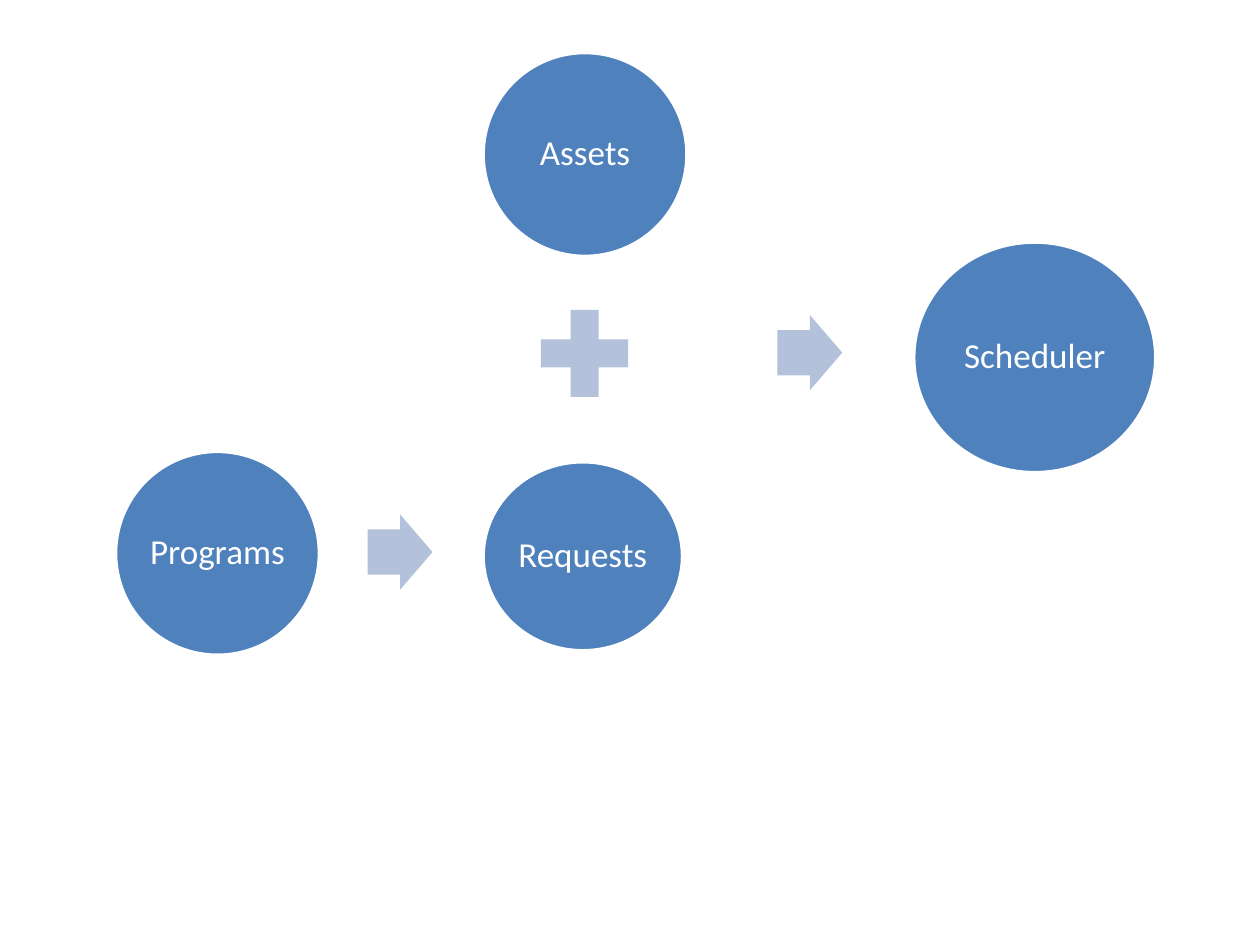
from collections import namedtuple
from dataclasses import dataclass

from pptx import Presentation
from pptx.dml.color import RGBColor
from pptx.enum.shapes import MSO_SHAPE as Preset
from pptx.enum.text import MSO_ANCHOR as Anchor, PP_ALIGN as Align
from pptx.util import Cm, Pt

Box = namedtuple("Box", "left top width height")


@dataclass(frozen=True)
class Theme:
    circle: RGBColor = RGBColor(0x4F, 0x81, 0xBD)
    operator: RGBColor = RGBColor(0xB3, 0xC1, 0xDB)
    light: RGBColor = RGBColor(0xFF, 0xFF, 0xFF)
    font: str = "Calibri"
    label_size: Pt = Pt(20)
    outline: Pt = Pt(2)
    inset: Cm = Cm(0.07)


THEME = Theme()


def add_preset(slide, preset, box, fill):
    shape = slide.shapes.add_shape(preset, *(Cm(length) for length in box))
    shape.shadow.inherit = False
    shape.fill.solid()
    shape.fill.fore_color.rgb = fill
    return shape


def add_circle(slide, label, box):
    circle = add_preset(slide, Preset.OVAL, box, THEME.circle)
    circle.line.color.rgb = THEME.light
    circle.line.width = THEME.outline

    # Centred label
    frame = circle.text_frame
    frame.text = label
    frame.word_wrap = True
    frame.vertical_anchor = Anchor.MIDDLE
    frame.margin_left = frame.margin_right = THEME.inset
    frame.margin_top = frame.margin_bottom = THEME.inset
    paragraph = frame.paragraphs[0]
    paragraph.alignment = Align.CENTER
    paragraph.line_spacing = 0.9
    font = paragraph.runs[0].font
    font.name = THEME.font
    font.size = THEME.label_size
    font.color.rgb = THEME.light


def add_operator(slide, preset, box):
    operator = add_preset(slide, preset, box, THEME.operator)
    operator.line.fill.background()
    return operator


def add_scheduling_flow(slide, area):
    def within(left, top, width, height):
        return Box(area.left + left, area.top + top, width, height)

    # Arrows: Programs to Requests, then both inputs to Scheduler
    for left, top in ((5.08, 9.31), (13.34, 5.29)):
        arrow = add_operator(slide, Preset.RIGHT_ARROW,
                             within(left, top, 1.31, 1.52))
        arrow.adjustments[0] = 0.6
        arrow.adjustments[1] = 0.5

    # Plus between Assets and Requests
    add_operator(slide, Preset.MATH_PLUS, within(8.26, 4.87, 2.39, 2.39))

    # Labelled circles
    input_left, diameter = 7.41, 4.11
    circles = {
        "Programs": (0, 8.04, diameter, diameter),
        "Assets": (input_left, 0, diameter, diameter),
        "Requests": (input_left, 8.25, 4.02, 3.81),
        "Scheduler": (area.width - 4.88, 3.82, 4.88, 4.65),
    }
    for label, place in circles.items():
        add_circle(slide, label, within(*place))


deck = Presentation()
deck.slide_width, deck.slide_height = Cm(25.4), Cm(19.05)
flow_slide = deck.slides.add_slide(deck.slide_layouts[6])
add_scheduling_flow(flow_slide, Box(2.33, 1.06, 20.97, 12.15))
deck.save("out.pptx")
